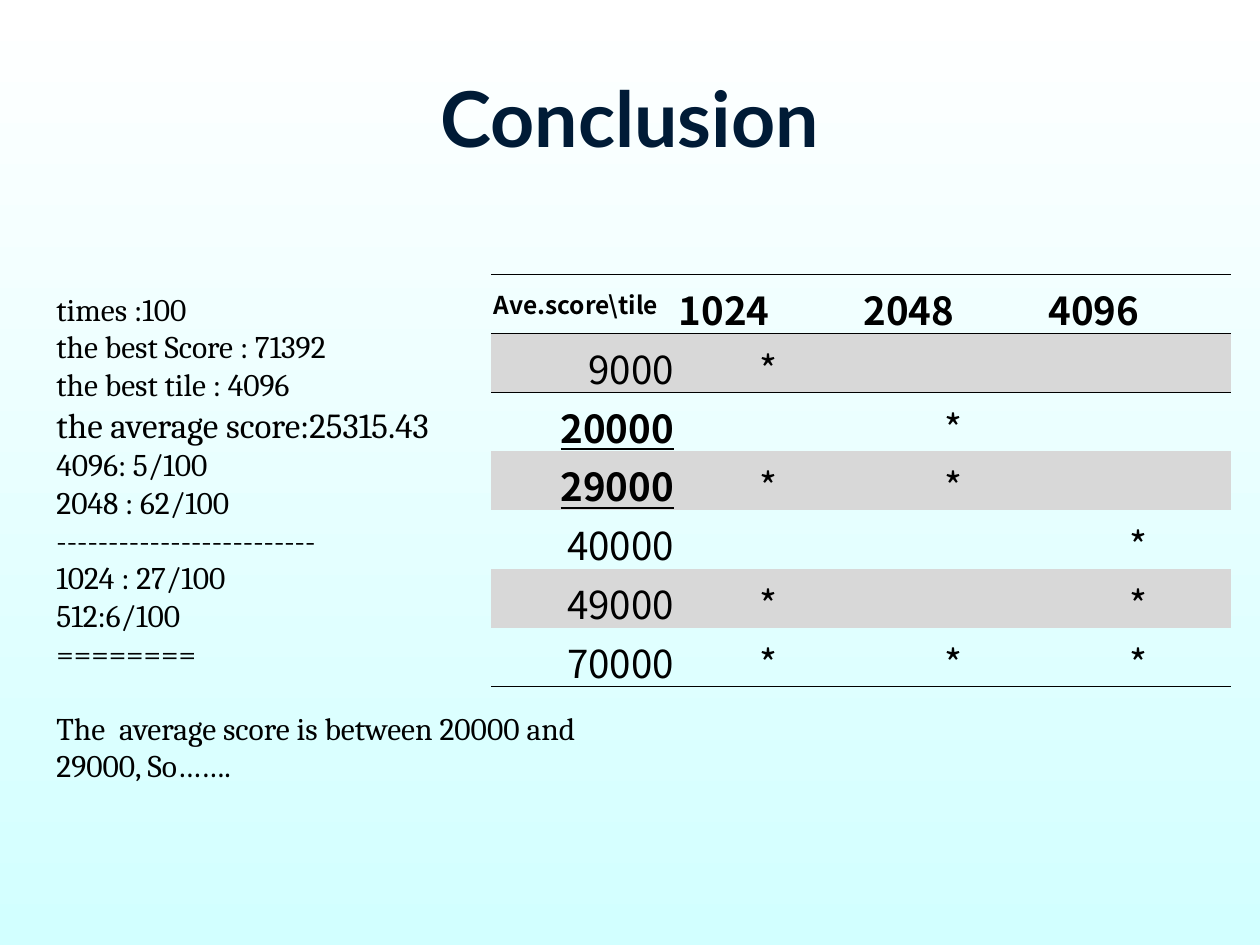
from pptx import Presentation, util as u
from pptx.dml import color
from pptx.enum import text
from pptx.oxml import parse_xml
from pptx.oxml.ns import nsdecls, qn

FACTS = ["times :100", "the best Score : 71392", "the best tile : 4096",
         "the average score:25315.43", "4096: 5/100", "2048 : 62/100",
         "-" * 25, "1024 : 27/100", "512:6/100", "=" * 8]
CLOSE = "The  average score is between 20000 and 29000, So……."

HEADS = ["Ave.score\\tile", "1024", "2048", "4096"]
# Score and the columns that hold a star
SCORES = [("9000", [1]), ("20000", [2]), ("29000", [1, 2]),
          ("40000", [3]), ("49000", [1, 3]), ("70000", [1, 2, 3])]
RANGE = ("20000", "29000")
ALIGN = text.PP_ALIGN


def rgb(code):
    return color.RGBColor.from_string(code)


def write(para, words, size, face, ink="000000", bold=False, line=False,
          align=ALIGN.LEFT, before=0):
    para.alignment = align
    para.space_before = u.Pt(before)
    run = para.add_run()
    run.text = words
    font = run.font
    font.size, font.name = u.Pt(size), face
    font.bold, font.underline = bold, line
    font.color.rgb = rgb(ink)


def place(shape, box):
    shape.left, shape.top, shape.width, shape.height = map(u.Inches, box)


def shade(slide):
    fill = slide.background.fill
    fill.gradient()
    fill.gradient_angle = 270
    for stop, ink, pos in zip(fill.gradient_stops, ("FFFFFF", "D2FFFF"), (0, 1)):
        stop.color.rgb = rgb(ink)
        stop.position = pos


def head(slide, box):
    title = slide.shapes.title
    place(title, box)
    title.text_frame.vertical_anchor = text.MSO_ANCHOR.MIDDLE
    write(title.text_frame.paragraphs[0], "Conclusion", 44, "Lato",
          ink="001B36", bold=True, align=ALIGN.CENTER)


def notes(slide, box):
    frame = slide.shapes.add_textbox(*map(u.Inches, box)).text_frame
    frame.word_wrap = True
    for i, fact in enumerate(FACTS):
        para = frame.add_paragraph() if i else frame.paragraphs[0]
        write(para, fact, 20 if "average" in fact else 18, "Cambria")
    write(frame.add_paragraph(), CLOSE, 18, "Cambria", before=21)


def rule(cell, *sides):
    props = cell._tc.get_or_add_tcPr()
    for side in sides:
        props.append(parse_xml(
            f'<a:ln{side} {nsdecls("a")} w="2921"><a:solidFill>'
            f'<a:srgbClr val="000000"/></a:solidFill></a:ln{side}>'))


def grid(slide, box):
    rows, cols = len(SCORES) + 1, len(HEADS)
    frame = slide.shapes.add_table(rows, cols, *map(u.Inches, box))
    table = frame.table
    table.first_row = table.horz_banding = False
    # Plain table style without lines
    for style in frame.element.iter(qn("a:tableStyleId")):
        style.text = "{2D5ABB26-0587-4C30-8999-92F81FD0307C}"

    for r in range(rows):
        for c in range(cols):
            cell = table.cell(r, c)
            cell.margin_left = cell.margin_right = u.Inches(0.02)
            cell.vertical_anchor = text.MSO_ANCHOR.MIDDLE
            para = cell.text_frame.paragraphs[0]
            size, face = 22, "Noto Sans CJK SC"
            if r == 0:
                write(para, HEADS[c], size if c else 14, face, bold=True)
                rule(cell, "T", "B")
            else:
                score, stars = SCORES[r - 1]
                mark = score in RANGE
                if c == 0:
                    write(para, score, size, face, bold=mark, line=mark,
                          align=ALIGN.RIGHT)
                elif c in stars:
                    write(para, "*", size, face, align=ALIGN.CENTER)
                if r == 1:
                    rule(cell, "T")
                elif r == rows - 1:
                    rule(cell, "B")
            # Every second row is grey
            if r % 2:
                cell.fill.solid()
                cell.fill.fore_color.rgb = rgb("D8D8D8")
            else:
                cell.fill.background()


def main():
    deck = Presentation()
    deck.slide_width, deck.slide_height = u.Inches(10), u.Inches(7.5)
    slide = deck.slides.add_slide(deck.slide_layouts[5])
    shade(slide)
    head(slide, (0.5, 0.3, 9, 1.25))
    notes(slide, (0.35, 2.25, 5, 4.94))
    grid(slide, (3.9, 2.18, 5.87, 2.71))
    deck.save("out.pptx")


if __name__ == "__main__":
    main()
